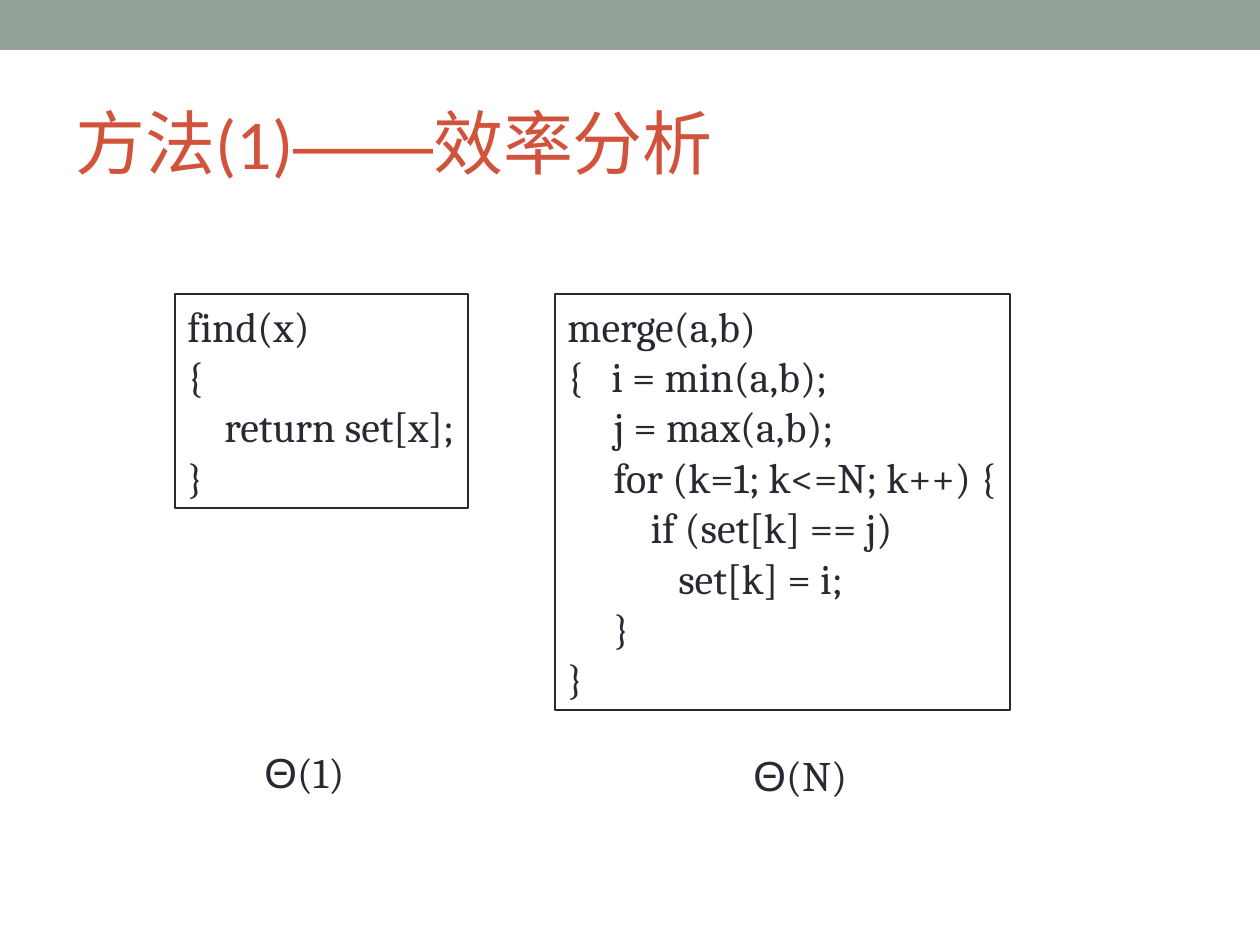
import pptx
import pptx.util
import pptx.dml.color
import pptx.enum.shapes
import pptx.enum.text

PX = 914400 / 126
COLORS = {"bar": "93A299", "title": "D2533C", "ink": "292934"}

FIND_CODE = """find(x)
{
    return set[x];
}"""

MERGE_CODE = """merge(a,b)
{   i = min(a,b);
     j = max(a,b);
     for (k=1; k<=N; k++) {
         if (set[k] == j)
            set[k] = i;
     }
}"""


def px(length):
    return pptx.util.Emu(round(length * PX))


def rgb(name):
    return pptx.dml.color.RGBColor.from_string(COLORS[name])


def set_values(target, values):
    for name, value in values.items():
        setattr(target, name, value)


def add_span(para, text, font, size, color):
    span = para.add_run()
    span.text = text
    set_values(span.font, {"name": font, "size": pptx.util.Pt(size)})
    span.font.color.rgb = rgb(color)


def add_rectangle(page, place):
    box = page.shapes.add_shape(pptx.enum.shapes.MSO_SHAPE.RECTANGLE, *map(px, place))
    box.shadow.inherit = False
    return box


def add_bar(page, place):
    bar = add_rectangle(page, place)
    bar.fill.solid()
    bar.fill.fore_color.rgb = rgb("bar")
    bar.line.fill.background()


def fill_title(page, place, spans):
    title = page.shapes.title
    set_values(title, dict(zip(("left", "top", "width", "height"), map(px, place))))
    set_values(title.text_frame, {
        "vertical_anchor": pptx.enum.text.MSO_ANCHOR.MIDDLE,
        "auto_size": pptx.enum.text.MSO_AUTO_SIZE.NONE,
    })
    para = title.text_frame.paragraphs[0]
    para.alignment = pptx.enum.text.PP_ALIGN.LEFT
    for text, font in spans:
        add_span(para, text, font, 40, "title")


def fill_lines(box, lines):
    frame = box.text_frame
    set_values(frame, {
        "word_wrap": False,
        "auto_size": pptx.enum.text.MSO_AUTO_SIZE.SHAPE_TO_FIT_TEXT,
        "vertical_anchor": pptx.enum.text.MSO_ANCHOR.TOP,
    })
    for index, spans in enumerate(lines):
        para = frame.add_paragraph() if index else frame.paragraphs[0]
        para.alignment = pptx.enum.text.PP_ALIGN.LEFT
        for text, font in spans:
            add_span(para, text, font, 24, "ink")


def add_code(page, place, code):
    box = add_rectangle(page, place)
    box.fill.background()
    box.line.color.rgb = rgb("ink")
    box.line.width = pptx.util.Pt(0.75)
    fill_lines(box, [[(line, "Cambria")] for line in code.splitlines()])


def add_cost(page, place, argument):
    box = page.shapes.add_textbox(*map(px, place))
    fill_lines(box, [[("Θ", "Arial"), (argument, "Cambria")]])


def main():
    deck = pptx.Presentation()
    set_values(deck, {"slide_width": px(1260), "slide_height": px(945)})
    page = deck.slides.add_slide(deck.slide_layouts.get_by_name("Title Only"))
    add_bar(page, (0, 0, 1260, 50))
    fill_title(page, (63, 73, 1134, 136), [
        ("方法(1)", "Calibri"), ("——", "Arial"), ("效率分析", "Calibri"),
    ])
    add_code(page, (175, 294, 293, 214), FIND_CODE)
    add_code(page, (555, 294, 455, 416), MERGE_CODE)
    add_cost(page, (252, 740, 106, 63), "(1)")
    add_cost(page, (741, 743, 122, 63), "(N)")
    deck.save("out.pptx")


if __name__ == "__main__":
    main()
